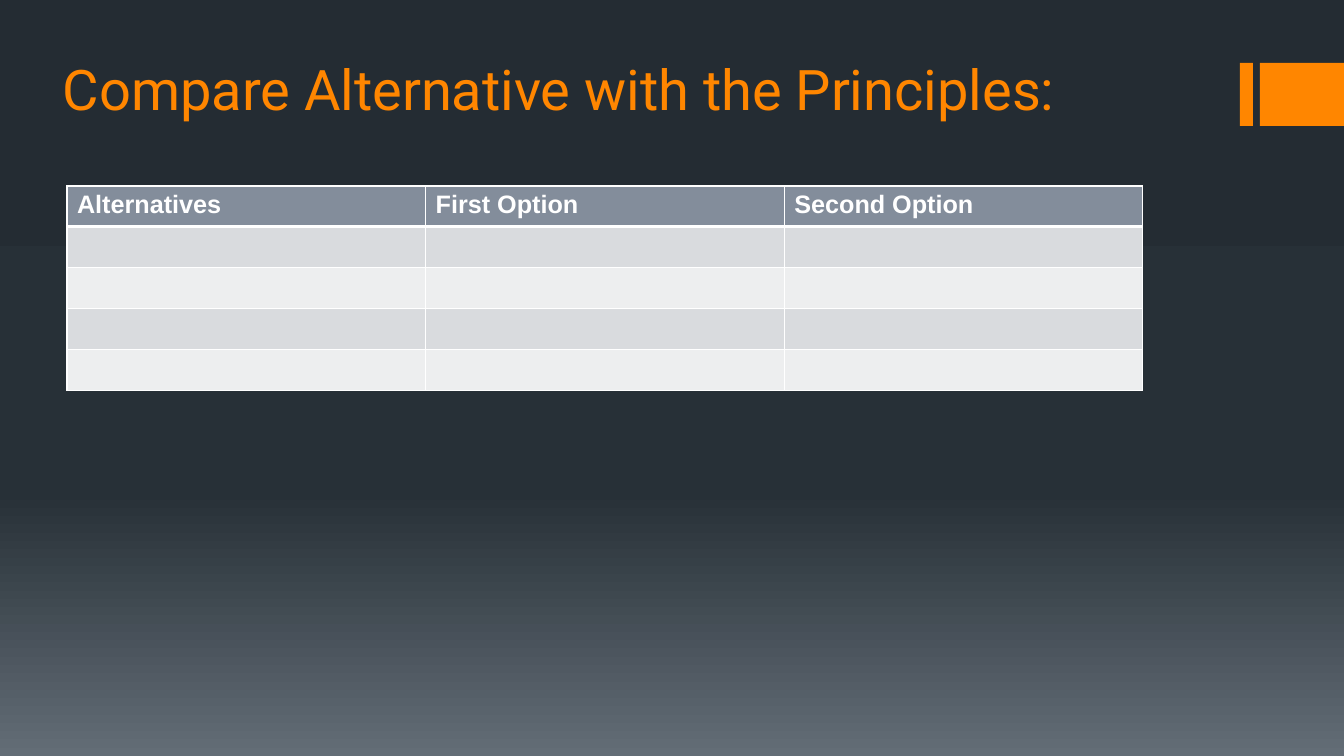
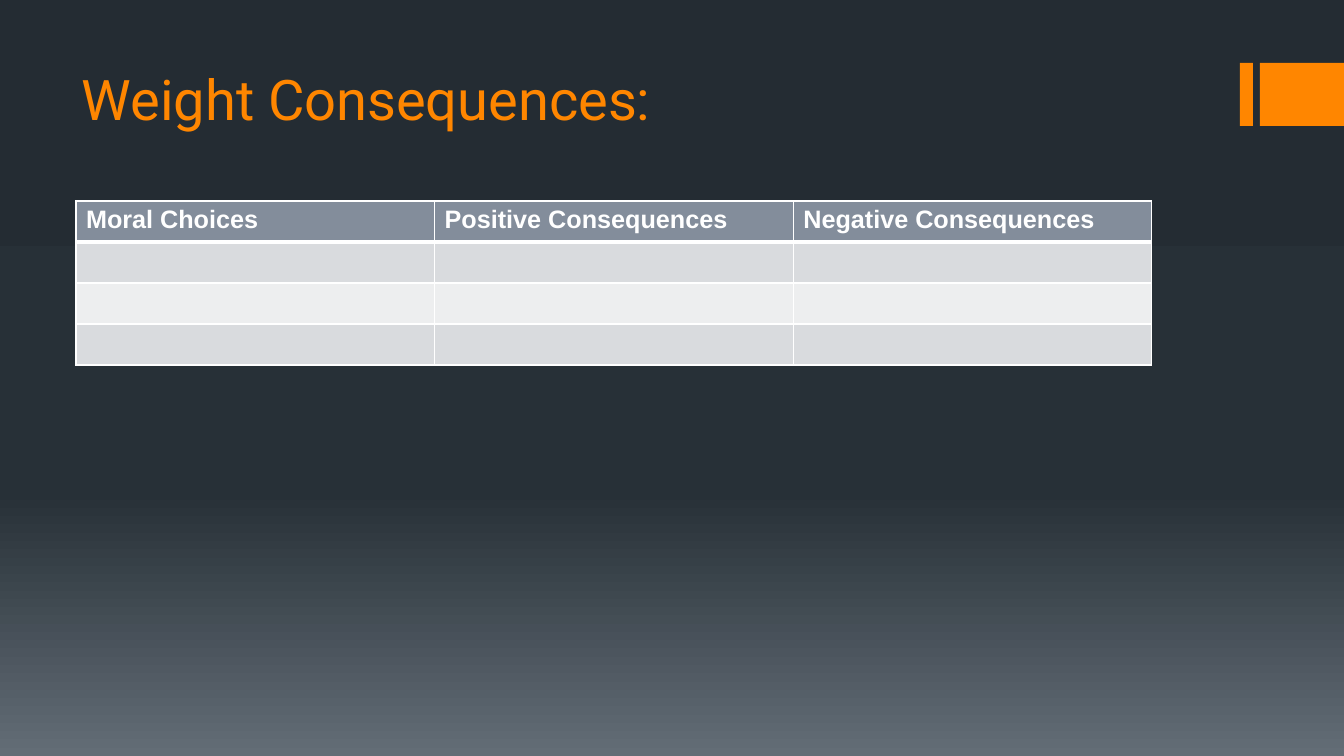
from lxml import etree
from pptx import Presentation
from pptx.dml.color import RGBColor
from pptx.enum.shapes import MSO_SHAPE
from pptx.enum.text import MSO_ANCHOR
from pptx.oxml.ns import qn
from pptx.util import Emu, Pt

RECTANGLE = MSO_SHAPE.RECTANGLE
BOTTOM = MSO_ANCHOR.BOTTOM
SLIDE_WIDTH, SLIDE_HEIGHT = 1344, 756
EMU_PER_PX = 12192000 / SLIDE_WIDTH

ORANGE = "FF8600"
WHITE = "FFFFFF"
HEADER_FILL = "838D9B"
BAND_FILLS = ("D9DBDE", "EDEEEF")
BACKGROUND_STOPS = ((0, "242C33"), (65, "273037"), (100, "636D76"))
TITLE_FONT, TABLE_FONT = "Roboto", "Arial"
ACCENT_BARS = ((1240, 63, 13, 63), (1260, 63, 84, 63))
TABLE_WIDTH, ROW_HEIGHT = 1076, 41

SLIDES = (
    {
        "title": "Compare Alternative with the Principles:",
        "title_box": (53, 32, 1035, 95),
        "headers": ("Alternatives", "First Option", "Second Option"),
        "table_origin": (67, 186),
        "header_height": 38,
        "body_rows": 4,
    },
    {
        "title": "Weight Consequences:",
        "title_box": (72, 10, 607, 127),
        "headers": ("Moral Choices", "Positive Consequences", "Negative Consequences"),
        "table_origin": (76, 201),
        "header_height": ROW_HEIGHT,
        "body_rows": 3,
    },
)


def px(length):
    """Turn pixels into EMU."""
    return Emu(round(length * EMU_PER_PX))


def color(hex_string):
    """Turn a hex string into a colour."""
    return RGBColor.from_string(hex_string)


def style_text(paragraph, font_name, size, hex_color, bold=False):
    """Format every run of a paragraph."""
    for run in paragraph.runs:
        run.font.name = font_name
        run.font.size = Pt(size)
        run.font.bold = bold
        run.font.color.rgb = color(hex_color)


def set_background(master):
    """Give the master a vertical three-stop gradient."""
    fill = master.background.fill
    fill.gradient()
    fill.gradient_angle = 270
    stop_list = next(master.element.iter(qn("a:gsLst")))
    for old_stop in list(stop_list):
        stop_list.remove(old_stop)
    for position, hex_color in BACKGROUND_STOPS:
        stop = etree.SubElement(stop_list, qn("a:gs"), pos=str(position * 1000))
        etree.SubElement(stop, qn("a:srgbClr"), val=hex_color)


def add_accent_bars(slide):
    """Draw the orange bars at the right edge."""
    for box in ACCENT_BARS:
        bar = slide.shapes.add_shape(RECTANGLE, *map(px, box))
        bar.shadow.inherit = False
        bar.fill.solid()
        bar.fill.fore_color.rgb = color(ORANGE)
        bar.line.fill.background()


def add_title(slide, text, box):
    """Place a bottom-anchored title in the box."""
    text_frame = slide.shapes.add_textbox(*map(px, box)).text_frame
    text_frame.word_wrap = True
    text_frame.vertical_anchor = BOTTOM
    text_frame.text = text
    style_text(text_frame.paragraphs[0], TITLE_FONT, 40, ORANGE)


def set_borders(cell, top, bottom):
    """Draw white cell borders, with top and bottom widths in points."""
    properties = cell._tc.get_or_add_tcPr()
    sides = (("a:lnL", 1), ("a:lnR", 1), ("a:lnT", top), ("a:lnB", bottom))
    for index, (tag, width) in enumerate(sides):
        line = etree.Element(qn(tag), w=str(Pt(width)))
        line_fill = etree.SubElement(line, qn("a:solidFill"))
        etree.SubElement(line_fill, qn("a:srgbClr"), val=WHITE)
        properties.insert(index, line)


def add_banded_table(slide, headers, origin, header_height, body_rows):
    """Place a table with a header row and empty banded rows."""
    height = header_height + body_rows * ROW_HEIGHT
    box = (*origin, TABLE_WIDTH, height)
    table = slide.shapes.add_table(body_rows + 1, len(headers), *map(px, box)).table
    for column in table.columns:
        column.width = px(TABLE_WIDTH / len(headers))
    for row_index, row in enumerate(table.rows):
        is_header = row_index == 0
        row.height = px(header_height if is_header else ROW_HEIGHT)
        fill_color = HEADER_FILL if is_header else BAND_FILLS[(row_index - 1) % 2]
        for cell, header in zip(row.cells, headers):
            cell.fill.solid()
            cell.fill.fore_color.rgb = color(fill_color)
            set_borders(cell, 3 if row_index == 1 else 1, 3 if is_header else 1)
            if is_header:
                cell.text_frame.text = header
                style_text(cell.text_frame.paragraphs[0], TABLE_FONT, 18, WHITE, True)


def add_table_slide(presentation, content):
    """Add one slide with accent bars, a title and a table."""
    slide = presentation.slides.add_slide(presentation.slide_layouts[6])
    add_accent_bars(slide)
    add_title(slide, content["title"], content["title_box"])
    add_banded_table(slide, content["headers"], content["table_origin"],
                     content["header_height"], content["body_rows"])


def main():
    """Build and save the presentation."""
    presentation = Presentation()
    presentation.slide_width = px(SLIDE_WIDTH)
    presentation.slide_height = px(SLIDE_HEIGHT)
    set_background(presentation.slide_master)
    for content in SLIDES:
        add_table_slide(presentation, content)
    presentation.save("out.pptx")


if __name__ == "__main__":
    main()
